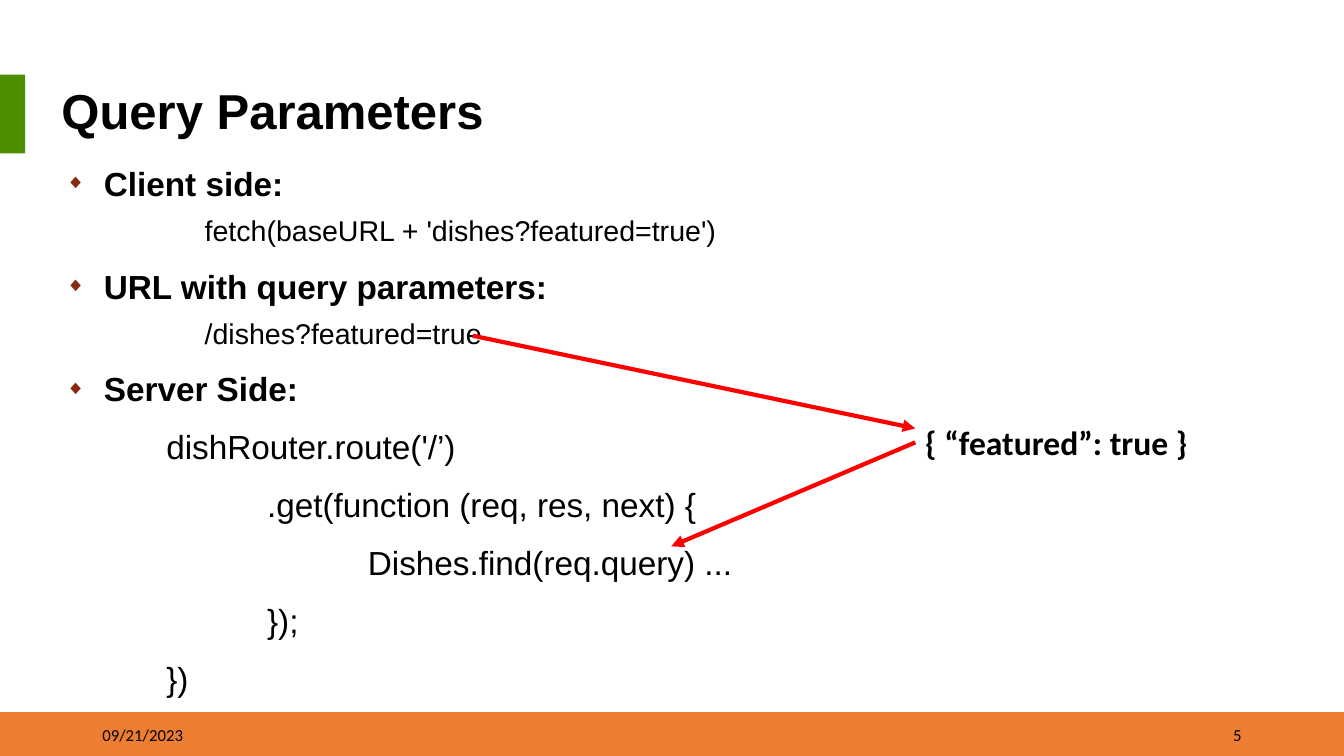
from lxml import etree
from pptx import Presentation
from pptx.dml.color import RGBColor
from pptx.enum.shapes import MSO_CONNECTOR, MSO_SHAPE
from pptx.enum.text import MSO_ANCHOR, MSO_AUTO_SIZE, PP_ALIGN
from pptx.oxml.ns import qn
from pptx.util import Pt

RECT = MSO_SHAPE.RECTANGLE
LINE = MSO_CONNECTOR.STRAIGHT
TOP, MIDDLE = MSO_ANCHOR.TOP, MSO_ANCHOR.MIDDLE
LEFT, RIGHT = PP_ALIGN.LEFT, PP_ALIGN.RIGHT
FIXED = MSO_AUTO_SIZE.NONE
COLORS = {"text": "000000", "band": "ED7D31", "tab": "4E8F00",
          "bullet": "892912", "arrow": "FF0000"}
HEAD = dict(size=Pt(23.8), bold=True, name="Arial")
CALL = dict(size=Pt(20.4), bold=False, name="Arial")
CODE = dict(size=Pt(23.8), bold=False, name="Arial")
INDENT = 27.4
STEP = 72


def color(key):
    return RGBColor.from_string(COLORS[key])


def apply(target, values):
    for name, value in values.items():
        setattr(target, name, value)


class Deck:
    def __init__(self, slide):
        self.slide = slide

    def place(self, shape, box):
        names = ("left", "top", "width", "height")
        apply(shape, dict(zip(names, map(Pt, box))))

    def block(self, box, fill):
        shape = self.slide.shapes.add_shape(RECT, *map(Pt, box))
        shape.shadow.inherit = False
        shape.fill.solid()
        shape.fill.fore_color.rgb = color(fill)
        shape.line.fill.background()

    def frame(self, shape, anchor):
        apply(shape.text_frame, dict(word_wrap=True, auto_size=FIXED,
                                     vertical_anchor=anchor))
        return shape.text_frame

    def put(self, para, text, font, **format):
        run = para.add_run()
        run.text = text
        apply(run.font, font)
        run.font.color.rgb = color("text")
        apply(para, dict(alignment=LEFT) | format)

    def label(self, box, text, font, anchor=MIDDLE, align=LEFT):
        shape = self.slide.shapes.add_textbox(*map(Pt, box))
        frame = self.frame(shape, anchor)
        self.put(frame.paragraphs[0], text, font, alignment=align)

    def title(self, box, text):
        shape = self.slide.shapes.title
        self.place(shape, box)
        para = self.frame(shape, MIDDLE).paragraphs[0]
        font = dict(size=Pt(35), bold=True, name="Arial")
        self.put(para, text, font, line_spacing=0.9)
        self.indent(para, 18.7)

    def indent(self, para, left, hang=0):
        props = para._p.get_or_add_pPr()
        props.set("marL", str(Pt(left)))
        props.set("indent", str(Pt(-hang)))
        return props

    def bullet(self, props, mark):
        if not mark:
            etree.SubElement(props, qn("a:buNone"))
            return
        tint = etree.SubElement(props, qn("a:buClr"))
        etree.SubElement(tint, qn("a:srgbClr"), val=COLORS["bullet"])
        etree.SubElement(props, qn("a:buSzPct"), val="60000")
        etree.SubElement(props, qn("a:buFont"), typeface="Arial")
        etree.SubElement(props, qn("a:buChar"), char=mark)

    def body(self, box, items):
        shape = self.slide.placeholders[1]
        self.place(shape, box)
        frame = self.frame(shape, TOP)
        for index, (text, font, depth) in enumerate(items):
            para = frame.add_paragraph() if index else frame.paragraphs[0]
            call, head = font is CALL, font is HEAD
            self.put(para, text, font, level=int(call), line_spacing=1.1,
                     space_before=Pt(5 if call else 10), space_after=Pt(0))
            left = depth * STEP + (0 if font is CODE else INDENT)
            props = self.indent(para, left, INDENT if head else 0)
            self.bullet(props, "◆" if head else None)

    def arrow(self, start, end):
        line = self.slide.shapes.add_connector(LINE, *map(Pt, start + end))
        line.line.color.rgb = color("arrow")
        line.line.width = Pt(3)
        props = line._element.spPr
        etree.SubElement(props.find(qn("a:ln")), qn("a:tailEnd"),
                         type="triangle")
        etree.SubElement(props, qn("a:effectLst"))


def main():
    show = Presentation()
    apply(show, dict(slide_width=Pt(960), slide_height=Pt(540)))
    deck = Deck(show.slides.add_slide(show.slide_layouts[1]))
    deck.block((0, 508.7, 960, 31.3), "band")
    deck.block((0, 53.3, 18, 56.2), "tab")
    small = dict(size=Pt(12), name="Calibri")
    deck.label((66, 510.5, 216, 28.8), "09/21/2023", small)
    deck.label((678, 510.5, 216, 28.8), "5", small, align=RIGHT)
    deck.title((18, 53.3, 931, 56.2), "Query Parameters")
    deck.body((39.6, 110, 880.6, 392.4), [
        ("Client side:", HEAD, 0),
        ("fetch(baseURL + 'dishes?featured=true')", CALL, 1),
        ("URL with query parameters:", HEAD, 0),
        ("/dishes?featured=true", CALL, 1),
        ("Server Side:", HEAD, 0),
        ("dishRouter.route('/’)", CODE, 1),
        (".get(function (req, res, next) {", CODE, 2),
        ("Dishes.find(req.query) ...", CODE, 3),
        ("});", CODE, 2),
        ("})", CODE, 1),
    ])
    deck.label((653.8, 298, 212.4, 36), "{ “featured”: true }",
               dict(size=Pt(24), bold=True, name="Calibri"), TOP)
    deck.arrow((653.8, 316), (479.5, 390.2))
    deck.arrow((337.7, 239.8), (653.8, 306))
    show.save("out.pptx")


if __name__ == "__main__":
    main()
